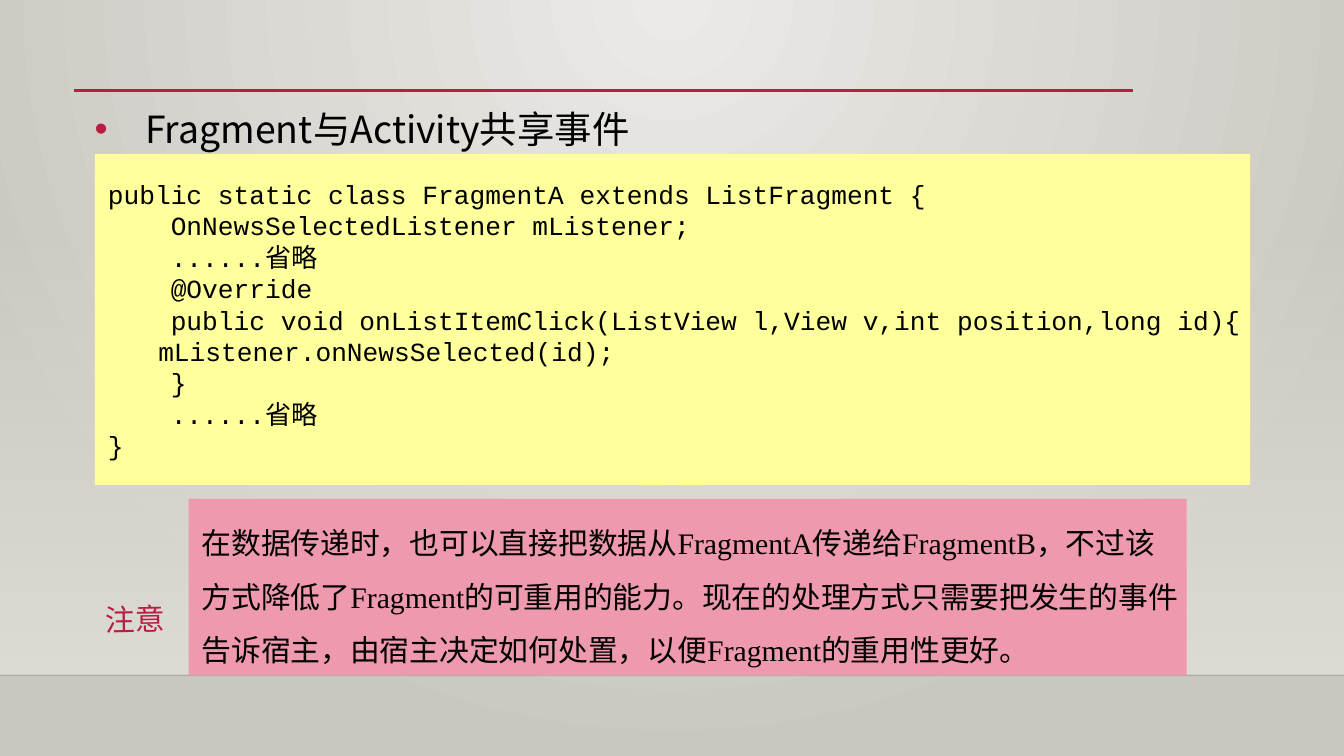
"""Build the slide on sharing events between a Fragment and its Activity."""
from dataclasses import dataclass

from lxml import etree
from pptx import Presentation
from pptx import util as u
from pptx.dml.color import RGBColor
from pptx.enum import shapes, text
from pptx.oxml.ns import qn


@dataclass(frozen=True)
class Theme:
    """Colours, fonts and type sizes of the slide."""
    accent: str = "B71E42"
    ink: str = "000000"
    edge: str = "000001"
    glow: str = "ECEAE7"
    floor: str = "CAC7C1"
    wall: str = "DFDBD5"
    code_fill: str = "FFFF9B"
    note_fill: str = "EE99AD"
    sans: str = "Noto Sans CJK SC"
    serif: str = "Times New Roman"
    mono: str = "Courier New"
    title_size: float = 26.7
    note_size: float = 21.3
    code_size: float = 18.7


def add_node(parent, tag, **attributes):
    """Append a DrawingML element and return it."""
    return etree.SubElement(parent, qn(f"a:{tag}"), attributes)


class SlideBuilder:
    """Draws styled elements on the current slide."""

    def __init__(self, slide, theme):
        self.slide = slide
        self.theme = theme

    def gradient(self, fill, colours):
        """Fill with a two-stop gradient running downwards."""
        fill.gradient()
        fill.gradient_angle = 270
        for stop, colour in zip(fill.gradient_stops, colours):
            stop.color.rgb = RGBColor.from_string(colour)

    def opacity(self, element, percent):
        """Set the opacity of the first colour within an element."""
        colour = next(element.iter(qn("a:srgbClr")))
        add_node(colour, "alpha", val=str(percent * 1000))

    def background(self):
        """Light the slide from the top centre."""
        self.gradient(self.slide.background.fill, (self.theme.glow, self.theme.floor))
        gradient = next(self.slide.element.iter(qn("a:gradFill")))
        gradient.remove(gradient.find(qn("a:lin")))
        circle = add_node(gradient, "path", path="circle")
        add_node(circle, "fillToRect", l="43000", t="0", r="43000", b="100000")

    def rectangle(self, left, top, width, height):
        """Add a plain rectangle without outline or shadow."""
        shape = self.slide.shapes.add_shape(
            shapes.MSO_SHAPE.RECTANGLE, *map(u.Inches, (left, top, width, height)))
        shape.shadow.inherit = False
        shape.line.fill.background()
        return shape

    def wall(self, *bounds):
        """Add a panel that fades in downwards."""
        shape = self.rectangle(*bounds)
        self.gradient(shape.fill, (self.theme.wall, self.theme.wall))
        self.opacity(shape.element.spPr, 0)

    def rule(self, left, right, y, colour, width, opacity=100):
        """Add a horizontal line."""
        line = self.slide.shapes.add_connector(
            shapes.MSO_CONNECTOR.STRAIGHT, *map(u.Inches, (left, y, right, y)))
        line.line.color.rgb = RGBColor.from_string(colour)
        line.line.width = u.Pt(width)
        add_node(line.element.spPr, "effectLst")
        if opacity < 100:
            self.opacity(line.element.spPr, opacity)

    def set_text(self, shape, content, font, size, colour, spacing=1.0, tab=None):
        """Set and format the text of a shape."""
        frame = shape.text_frame
        frame.word_wrap = True
        frame.text = content
        for paragraph in frame.paragraphs:
            paragraph.alignment = text.PP_ALIGN.LEFT
            paragraph.line_spacing = spacing
            if tab:
                tabs = add_node(paragraph._p.get_or_add_pPr(), "tabLst")
                add_node(tabs, "tab", pos=str(u.Inches(tab)), algn="l")
            for run in paragraph.runs:
                run.font.name = font
                run.font.size = u.Pt(size)
                run.font.color.rgb = RGBColor.from_string(colour)
                add_node(run.font._element, "ea", typeface=self.theme.sans)

    def label(self, bounds, content, size, colour, spacing=1.0, rotation=0):
        """Add a text box."""
        box = self.slide.shapes.add_textbox(*map(u.Inches, bounds))
        box.rotation = rotation
        self.set_text(box, content, self.theme.sans, size, colour, spacing)
        return box

    def bullet(self, bounds, content):
        """Add the bulleted heading."""
        box = self.label(bounds, content, self.theme.title_size, self.theme.ink, 1.5)
        properties = box.text_frame.paragraphs[0]._p.get_or_add_pPr()
        properties.set("marL", str(u.Inches(0.5)))
        properties.set("indent", str(u.Inches(-0.5)))
        add_node(add_node(properties, "buClr"), "srgbClr", val=self.theme.accent)
        add_node(properties, "buFont", typeface="Arial")
        add_node(properties, "buChar", char="•")

    def panel(self, bounds, fill, content, font, size, spacing=1.0, tab=None):
        """Add a filled box with vertically centred text."""
        shape = self.rectangle(*bounds)
        shape.fill.solid()
        shape.fill.fore_color.rgb = RGBColor.from_string(fill)
        frame = shape.text_frame
        frame.vertical_anchor = text.MSO_ANCHOR.MIDDLE
        frame.margin_left = u.Inches(0.13)
        frame.margin_right = u.Inches(0.05)
        frame.margin_top = frame.margin_bottom = u.Inches(0.07)
        self.set_text(shape, content, font, size, self.theme.ink, spacing, tab)


CODE = """public static class FragmentA extends ListFragment {
    OnNewsSelectedListener mListener;
    ......省略
    @Override
    public void onListItemClick(ListView l,View v,int position,long id){
\tmListener.onNewsSelected(id);
    }
    ......省略
}"""

NOTE = (
    "在数据传递时，也可以直接把数据从FragmentA传递给FragmentB，不过"
    "该方式降低了Fragment的可重用的能力。现在的处理方式只需要把发生的"
    "事件告诉宿主，由宿主决定如何处置，以便Fragment的重用性更好。"
)


def main():
    """Create and save the presentation."""
    presentation = Presentation()
    presentation.slide_width = u.Inches(13.33)
    presentation.slide_height = u.Inches(7.5)
    theme = Theme()
    builder = SlideBuilder(
        presentation.slides.add_slide(presentation.slide_layouts[6]), theme)
    builder.background()
    builder.wall(0, 2.21, 13.33, 4.49)
    builder.rule(0, 13.33, 6.7, theme.edge, 1, opacity=20)
    builder.rule(0.73, 11.24, 0.9, theme.accent, 2.5)
    builder.bullet((0.84, 0.78, 11.97, 1.35), "Fragment与Activity共享事件")
    builder.panel((0.94, 1.53, 11.46, 3.28), theme.code_fill, CODE,
                  theme.mono, theme.code_size, tab=0.5)
    builder.label((0.95, 5.91, 0.93, 0.46), "注意", theme.note_size,
                  theme.accent, rotation=359)
    builder.panel((1.87, 4.95, 9.9, 1.75), theme.note_fill, NOTE,
                  theme.serif, theme.note_size, spacing=1.5)
    presentation.save("out.pptx")


if __name__ == "__main__":
    main()
